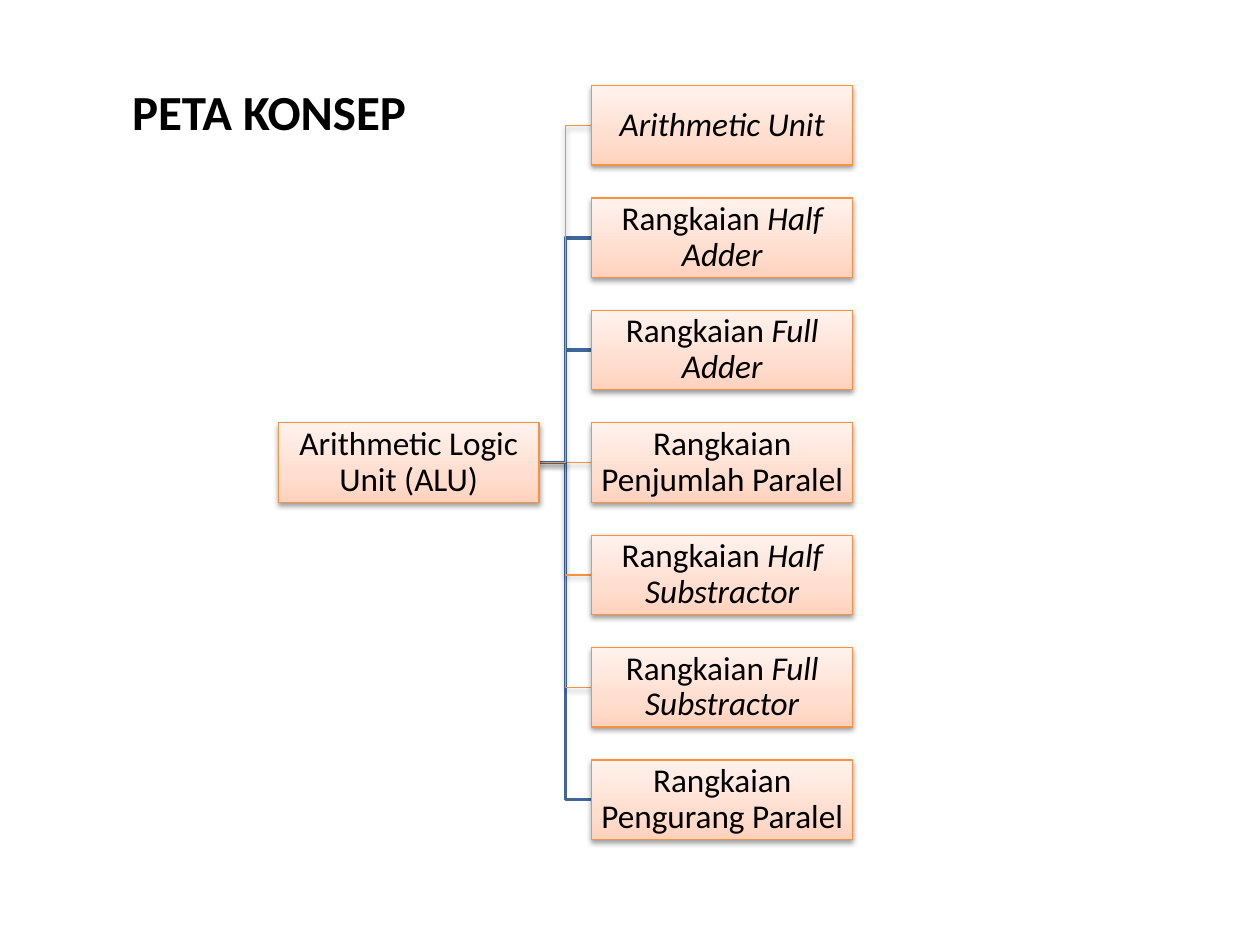
from pptx import Presentation
from pptx.dml.color import RGBColor as RGB
from pptx.enum.shapes import MSO_CONNECTOR as LINK, MSO_SHAPE as SHAPE
from pptx.enum.text import MSO_ANCHOR as ANCHOR, PP_ALIGN as ALIGN
from pptx.oxml import parse_xml as to_xml
from pptx.oxml.ns import nsdecls as names
from pptx.util import Cm, Pt

HUES = {
    "text": "000000",
    "edge": "F69240",
    "link": "3F6797",
    "low": "FFD2BD",
    "mid": "FFDED0",
    "high": "FFF2ED",
}
ROOT = [("Arithmetic Logic Unit (ALU)", False)]
TOPICS = [
    ([("Arithmetic Unit", True)], "edge"),
    ([("Rangkaian ", False), ("Half Adder", True)], "link"),
    ([("Rangkaian ", False), ("Full Adder", True)], "link"),
    ([("Rangkaian Penjumlah Paralel", False)], "edge"),
    ([("Rangkaian ", False), ("Half Substractor", True)], "edge"),
    ([("Rangkaian ", False), ("Full Substractor", True)], "edge"),
    ([("Rangkaian Pengurang Paralel", False)], "link"),
]
WIDE, HIGH = 5.26, 1.6
LEFT, RIGHT = 5.61, 11.93
TOP = 1.73
STEP = 13.59 / (len(TOPICS) - 1)
MID = TOP + STEP * (len(TOPICS) // 2)


def write(shape, runs, size=19, bold=False, inset=0.03, space=0.9):
    frame = shape.text_frame
    frame.word_wrap = True
    frame.vertical_anchor = ANCHOR.MIDDLE
    frame.margin_left = frame.margin_right = Cm(inset)
    frame.margin_top = frame.margin_bottom = Cm(inset)
    para = frame.paragraphs[0]
    para.alignment = ALIGN.CENTER
    para.line_spacing = space
    for text, slant in runs:
        run = para.add_run()
        run.text = text
        font = run.font
        font.name, font.size = "Calibri", Pt(size)
        font.bold, font.italic = bold, slant
        font.color.rgb = RGB.from_string(HUES["text"])


def shade(shape, shown=True):
    drop = (
        '<a:outerShdw blurRad="40000" dist="20000" dir="5400000" rotWithShape="0">'
        '<a:srgbClr val="000000"><a:alpha val="38000"/></a:srgbClr></a:outerShdw>'
    )
    body = drop if shown else ""
    shape._element.spPr.append(
        to_xml(f'<a:effectLst {names("a")}>{body}</a:effectLst>')
    )


def stroke(shape, hue):
    shape.line.color.rgb = RGB.from_string(HUES[hue])
    shape.line.width = Pt(2 if hue == "link" else 0.75)
    shade(shape, hue == "edge")


def blend(shape):
    stops = "".join(
        f'<a:gs pos="{spot * 1000}"><a:srgbClr val="{HUES[hue]}"/></a:gs>'
        for spot, hue in ((0, "low"), (35, "mid"), (100, "high"))
    )
    fill = to_xml(
        f'<a:gradFill {names("a")} rotWithShape="1"><a:gsLst>{stops}</a:gsLst>'
        '<a:lin ang="16200000" scaled="0"/></a:gradFill>'
    )
    shape._element.spPr.insert(2, fill)


def add_box(slide, left, top, runs):
    box = slide.shapes.add_shape(
        SHAPE.RECTANGLE, Cm(left), Cm(top), Cm(WIDE), Cm(HIGH)
    )
    blend(box)
    stroke(box, "edge")
    write(box, runs)


def add_link(slide, top, hue):
    start, end = LEFT + WIDE, RIGHT
    bend = (start + end) / 2
    from_y, to_y = MID + HIGH / 2, top + HIGH / 2
    if top == MID:
        link = slide.shapes.add_connector(
            LINK.STRAIGHT, Cm(start), Cm(from_y), Cm(end), Cm(to_y)
        )
    else:
        pen = slide.shapes.build_freeform(Cm(start), Cm(from_y))
        turns = ((bend, from_y), (bend, to_y), (end, to_y))
        pen.add_line_segments([(Cm(x), Cm(y)) for x, y in turns], close=False)
        link = pen.convert_to_shape()
        link.fill.background()
    stroke(link, hue)


def add_title(slide, text):
    box = slide.shapes.add_textbox(Cm(-4.29), Cm(1.52), Cm(19.43), Cm(1.45))
    write(box, [(text, False)], size=28, bold=True, inset=0.13, space=1.0)


def main():
    deck = Presentation()
    deck.slide_width, deck.slide_height = Cm(25.4), Cm(19.05)
    slide = deck.slides.add_slide(deck.slide_layouts[6])
    rows = [(TOP + i * STEP, *topic) for i, topic in enumerate(TOPICS)]
    for top, _, hue in reversed(rows):
        add_link(slide, top, hue)
    add_box(slide, LEFT, MID, ROOT)
    for top, runs, _ in rows:
        add_box(slide, RIGHT, top, runs)
    add_title(slide, "PETA KONSEP")
    deck.save("out.pptx")


if __name__ == "__main__":
    main()
